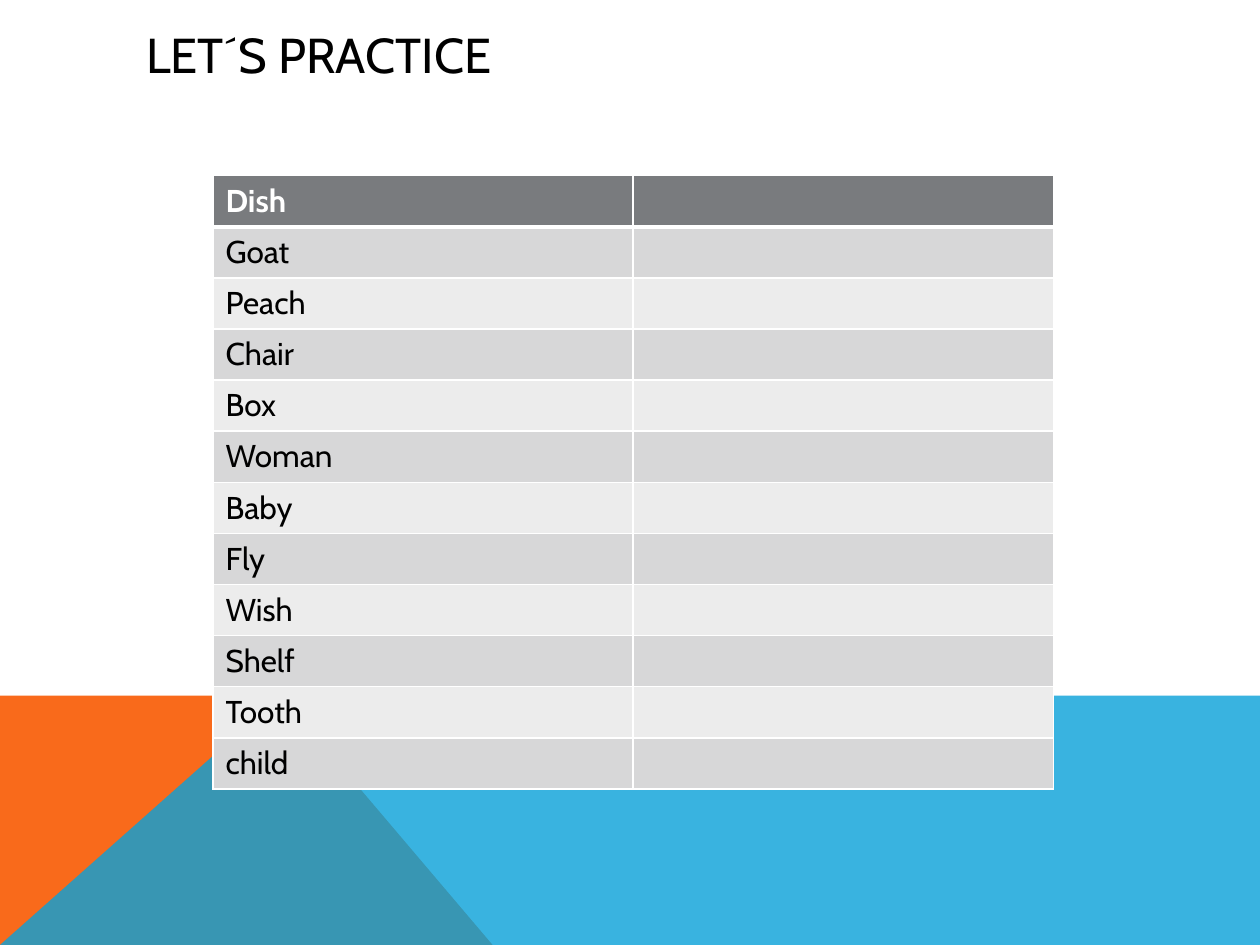
from lxml import etree
from pptx import Presentation
from pptx import util as u
from pptx.dml.color import RGBColor
from pptx.enum import text
from pptx.oxml import ns

WIDTH, HEIGHT = 10, 7.5
WORDS = ["Dish", "Goat", "Peach", "Chair", "Box", "Woman", "Baby", "Fly",
         "Wish", "Shelf", "Tooth", "child"]


def color(code):
    return RGBColor.from_string(code)


def write(paragraph, words, font="Cabin", size=18, ink="000000", bold=False):
    span = paragraph.add_run()
    span.text = words
    span.font.name = font
    span.font.size = u.Pt(size)
    span.font.bold = bold
    span.font.color.rgb = color(ink)


def add_fill_xml(parent, code):
    fill = etree.SubElement(parent, ns.qn("a:solidFill"))
    return etree.SubElement(fill, ns.qn("a:srgbClr"), val=code)


class Page:
    """The current slide and its style; positions are shares of the slide."""
    header, bands, border = "797B7E", ("ECECEC", "D7D7D8"), "FFFFFF"

    def __init__(self, deck):
        self.slide = deck.slides.add_slide(deck.slide_layouts[5])
        self.slide.background.fill.solid()
        self.slide.background.fill.fore_color.rgb = color("FFFFFF")

    def place(self, left, top, width, height):
        return [u.Inches(share * side) for share, side in
                zip((left, top, width, height), (WIDTH, HEIGHT) * 2)]

    def title(self, words, area):
        box = self.slide.shapes.title
        box.left, box.top, box.width, box.height = self.place(*area)
        frame = box.text_frame
        frame.word_wrap = True
        frame.auto_size = text.MSO_AUTO_SIZE.NONE
        frame.vertical_anchor = text.MSO_ANCHOR.MIDDLE
        frame.margin_left = u.Inches(0.18)
        frame.paragraphs[0].alignment = text.PP_ALIGN.LEFT
        write(frame.paragraphs[0], words, size=28)

    def polygon(self, points, fill, opacity=100):
        corners = [tuple(self.place(x, y, 0, 0)[:2]) for x, y in points]
        builder = self.slide.shapes.build_freeform(*corners[0])
        builder.add_line_segments(corners[1:], close=True)
        shape = builder.convert_to_shape()
        shape.shadow.inherit = False
        shape.line.fill.background()
        shape.fill.solid()
        shape.fill.fore_color.rgb = color(fill)
        if opacity < 100:
            tint = shape.fill._xPr.find(".//" + ns.qn("a:srgbClr"))
            etree.SubElement(tint, ns.qn("a:alpha"), val=str(opacity * 1000))

    def cell_borders(self, cell, **widths):
        """Draw the sides L, R, T and B at the given widths in points."""
        properties = cell._tc.get_or_add_tcPr()
        for position, (side, width) in enumerate(widths.items()):
            line = etree.Element(ns.qn("a:ln" + side), w=str(u.Pt(width)))
            add_fill_xml(line, self.border)
            properties.insert(position, line)

    def word_table(self, words, area):
        """List the words on the left, with an empty answer column."""
        frame = self.slide.shapes.add_table(len(words), 2, *self.place(*area))
        for number, row in enumerate(frame.table.rows):
            is_header = number == 0
            for cell, entry in zip(row.cells, (words[number], "")):
                cell.vertical_anchor = text.MSO_ANCHOR.TOP
                cell.fill.solid()
                cell.fill.fore_color.rgb = color(
                    self.header if is_header else self.bands[number % 2])
                self.cell_borders(cell, L=1, R=1, T=3 if number == 1 else 1,
                                  B=3 if is_header else 1)
                if entry:
                    write(cell.text_frame.paragraphs[0], entry, bold=is_header,
                          ink="FFFFFF" if is_header else "000000")


def main():
    deck = Presentation()
    deck.slide_width, deck.slide_height = u.Inches(WIDTH), u.Inches(HEIGHT)
    page = Page(deck)
    horizon, peak = 0.736, 0.223
    page.polygon([(0, 1), (0, horizon), (peak, horizon), (0.391, 1)], "F96A1B")
    page.polygon([(0, 1), (peak, horizon), (1, horizon), (1, 1)],
                 "08A1D9", opacity=80)
    page.title("LET´S PRACTICE", (0.098, 0.017, 0.822, 0.08))
    page.word_table(WORDS, (0.169, 0.186, 0.667, 0.648))
    deck.save("out.pptx")


if __name__ == "__main__":
    main()
